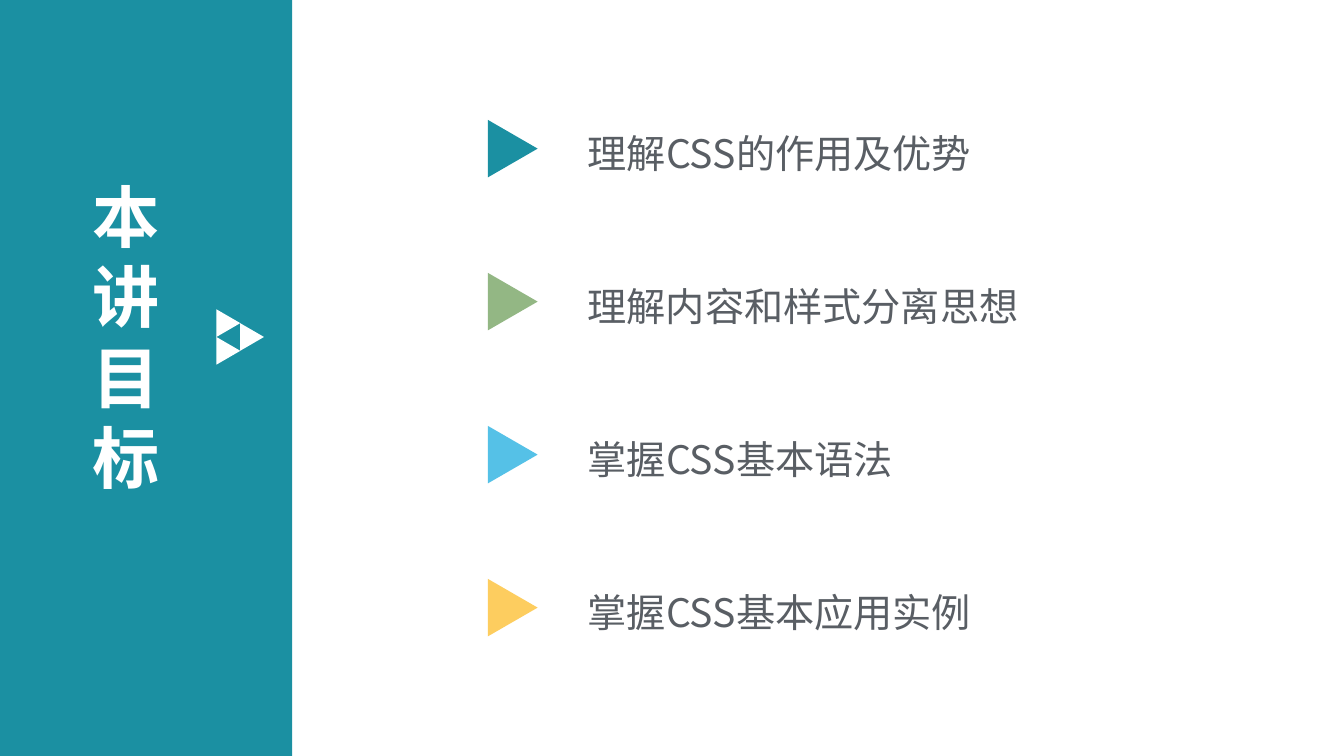
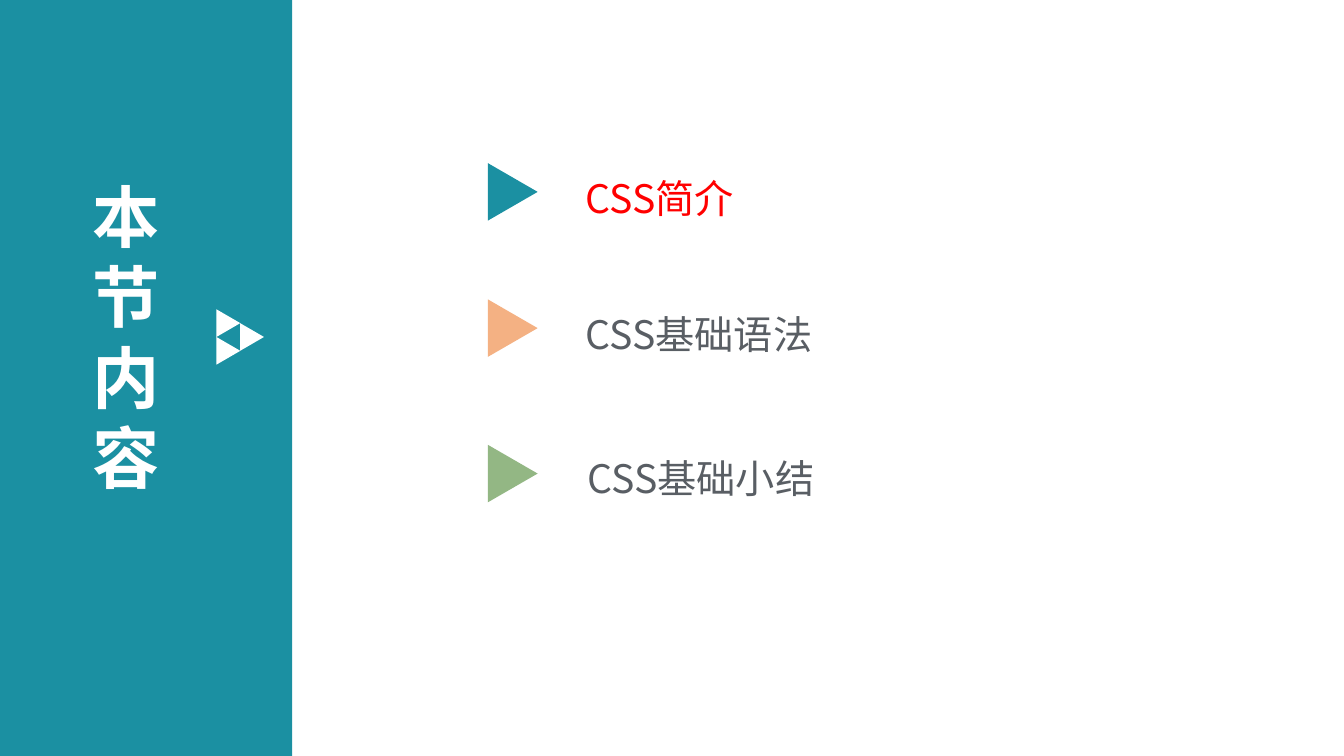
from pptx import Presentation
from pptx.dml.color import RGBColor
from pptx.enum.shapes import MSO_SHAPE
from pptx.enum.text import MSO_ANCHOR, MSO_AUTO_SIZE, PP_ALIGN
from pptx.oxml.ns import qn
from pptx.util import Pt
from lxml import etree

RECTANGLE = MSO_SHAPE.RECTANGLE
TRIANGLE = MSO_SHAPE.ISOSCELES_TRIANGLE
TOP = MSO_ANCHOR.TOP
NO_AUTOFIT = MSO_AUTO_SIZE.NONE
LEFT = PP_ALIGN.LEFT

FONT = "Noto Sans CJK SC"
COLORS = {
    "teal": "1B90A2", "green": "93B784", "blue": "55C1E7", "yellow": "FDCD5F",
    "orange": "F4B183", "red": "FF0000", "gray": "595E64", "white": "FFFFFF",
}

FIRST_GOAL, GOAL_STEP = 106.2, 109.28
GOALS = [
    ("理解CSS的作用及优势", "teal"),
    ("理解内容和样式分离思想", "green"),
    ("掌握CSS基本语法", "blue"),
    ("掌握CSS基本应用实例", "yellow"),
]
SLIDES = [
    ("本讲目标", [
        {"text": text, "marker": marker, "color": "gray", "indent": 1.5,
         "marker_y": FIRST_GOAL + index * GOAL_STEP,
         "text_y": FIRST_GOAL + index * GOAL_STEP + 0.9}
        for index, (text, marker) in enumerate(GOALS)
    ]),
    ("本节内容", [
        {"text": "CSS简介", "marker": "teal", "color": "red", "indent": 0,
         "marker_y": 137.1, "text_y": 139.6},
        {"text": "CSS基础语法", "marker": "orange", "color": "gray", "indent": 0,
         "marker_y": 234.4, "text_y": 236.4},
        {"text": "CSS基础小结", "marker": "green", "color": "gray", "indent": 1.5,
         "marker_y": 338.3, "text_y": 339.3},
    ]),
]

SLIDE_WIDTH, SLIDE_HEIGHT = 960, 540
BAND_WIDTH = 208.8
TITLE_BOX = (59, 121.7, 66.2, 240)
TITLE_SIZE, TITLE_LINE = 48, 57.4
ITEM_LEFT, ITEM_WIDTH = 418.3, 480
ITEM_SIZE, ITEM_LINE, ITEM_MIDDLE = 28, 34, 15.3
MARKER_X, MARKER_SIZE = 366.3, (35.5, 41)
EMBLEM_CENTERS = [(163.1, 230.8), (163.1, 250.6), (180, 240.7)]
EMBLEM_SIZE = (17.1, 19.8)


def rgb(name):
    return RGBColor.from_string(COLORS[name])


def place(shape, left, top, width, height):
    shape.left, shape.top = Pt(left), Pt(top)
    shape.width, shape.height = Pt(width), Pt(height)


def add_filled(slide, kind, left, top, width, height, color):
    shape = slide.shapes.add_shape(kind, Pt(left), Pt(top), Pt(width), Pt(height))
    shape.shadow.inherit = False
    shape.fill.solid()
    shape.fill.fore_color.rgb = rgb(color)
    shape.line.fill.background()
    return shape


def add_pointer(slide, center_x, center_y, size, color):
    width, height = size
    pointer = add_filled(slide, TRIANGLE, center_x - height / 2,
                         center_y - width / 2, height, width, color)
    pointer.rotation = 90


def prepare_frame(frame, side_margin, top_margin):
    frame.word_wrap = True
    frame.auto_size = NO_AUTOFIT
    frame.vertical_anchor = TOP
    frame.margin_left = frame.margin_right = Pt(side_margin)
    frame.margin_top = frame.margin_bottom = Pt(top_margin)


def style_paragraph(paragraph, size, line, color, bold=False, before=0, indent=0):
    paragraph.alignment = LEFT
    paragraph.line_spacing = Pt(line)
    paragraph.space_before = Pt(before)
    paragraph.space_after = Pt(0)
    properties = paragraph._p.get_or_add_pPr()
    properties.set("marL", str(Pt(indent)))
    properties.set("indent", "0")
    etree.SubElement(properties, qn("a:buNone"))
    for run in paragraph.runs:
        run.font.size = Pt(size)
        run.font.bold = bold
        run.font.name = FONT
        run.font.color.rgb = rgb(color)
        east_asian = etree.SubElement(run._r.get_or_add_rPr(), qn("a:ea"))
        east_asian.set("typeface", FONT)


def fill_title(title, text):
    place(title, *TITLE_BOX)
    frame = title.text_frame
    prepare_frame(frame, 7.2, 3.6)
    frame.text = text
    style_paragraph(frame.paragraphs[0], TITLE_SIZE, TITLE_LINE, "white", bold=True)


def fill_list(body, items):
    top = items[0]["text_y"] - ITEM_MIDDLE
    height = items[-1]["text_y"] - items[0]["text_y"] + ITEM_LINE
    place(body, ITEM_LEFT, top, ITEM_WIDTH, height)
    frame = body.text_frame
    prepare_frame(frame, 0, 0)
    frame.text = "\n".join(item["text"] for item in items)
    previous_y = items[0]["text_y"] - ITEM_LINE
    for paragraph, item in zip(frame.paragraphs, items):
        before = item["text_y"] - previous_y - ITEM_LINE
        style_paragraph(paragraph, ITEM_SIZE, ITEM_LINE, item["color"],
                        before=before, indent=item["indent"])
        previous_y = item["text_y"]


def build_slide(presentation, title_text, items):
    slide = presentation.slides.add_slide(presentation.slide_layouts[1])
    title, body = slide.shapes.title, slide.placeholders[1]
    band = add_filled(slide, RECTANGLE, 0, 0, BAND_WIDTH, SLIDE_HEIGHT, "teal")
    title.element.addprevious(band.element)
    fill_title(title, title_text)
    fill_list(body, items)
    for center_x, center_y in EMBLEM_CENTERS:
        add_pointer(slide, center_x, center_y, EMBLEM_SIZE, "white")
    for item in items:
        add_pointer(slide, MARKER_X, item["marker_y"], MARKER_SIZE, item["marker"])


def main():
    presentation = Presentation()
    presentation.slide_width = Pt(SLIDE_WIDTH)
    presentation.slide_height = Pt(SLIDE_HEIGHT)
    for title_text, items in SLIDES:
        build_slide(presentation, title_text, items)
    presentation.save("out.pptx")


if __name__ == "__main__":
    main()
